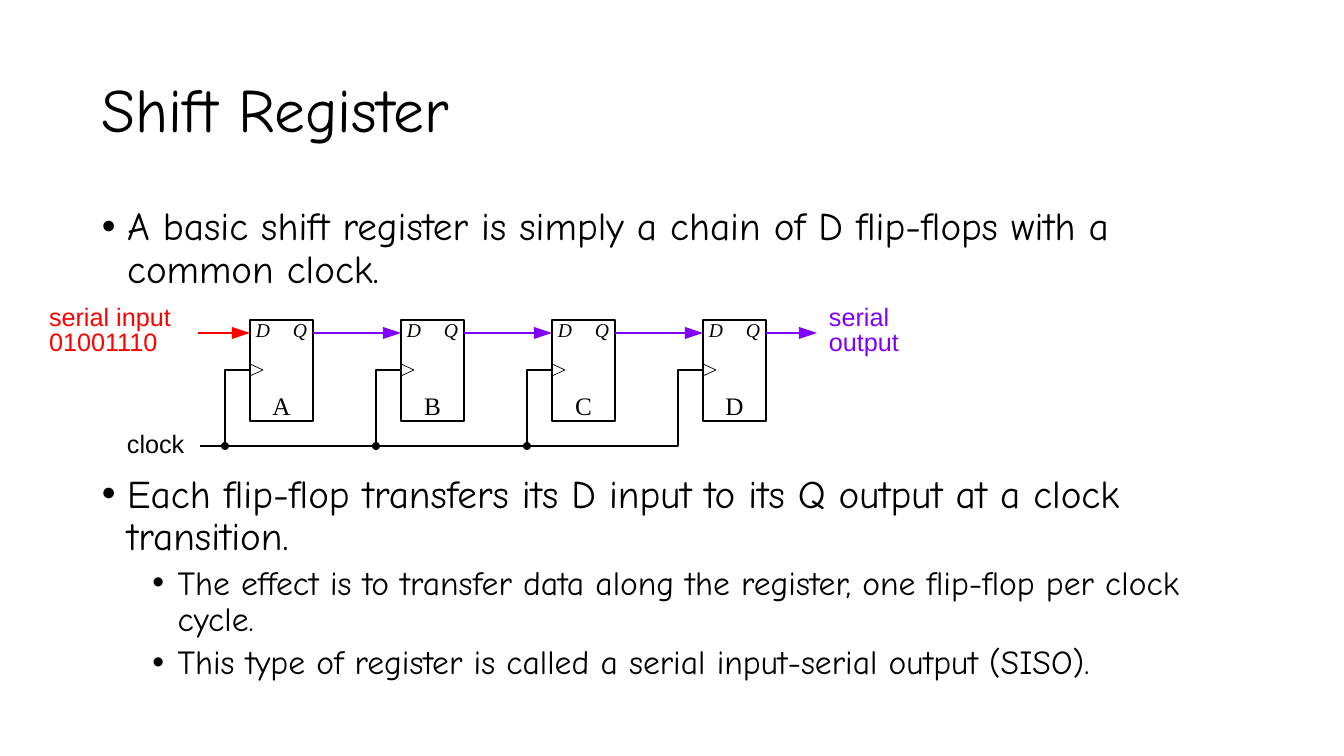
from lxml.etree import SubElement
from pptx import Presentation
from pptx.dml.color import RGBColor
from pptx.enum.shapes import MSO_CONNECTOR, MSO_SHAPE
from pptx.enum.text import MSO_ANCHOR, PP_ALIGN
from pptx.oxml.ns import qn
from pptx.util import Pt

TITLE = "Shift Register"
# text, indent level, size, space before (the second bullet clears the diagram)
BULLETS = [
    ("A basic shift register is simply a chain of D flip-flops with a common clock.", 0, 28, 10),
    ("Each flip-flop transfers its D input to its Q output at a clock transition.", 0, 28, 130.5),
    ("The effect is to transfer data along the register, one flip-flop per clock cycle.", 1, 24, 5),
    ("This type of register is called a serial input-serial output (SISO).", 1, 24, 5),
]
FLIP_FLOPS = ["A", "B", "C", "D"]
BLACK, RED, VIOLET = "000000", "FF0000", "7F00FF"
# text, box, colour
SIGNAL_LABELS = [
    (["serial input", "01001110"], (49, 306, 143, 51), RED),
    (["serial output"], (829, 306, 73, 51), VIOLET),
    (["clock"], (127, 433, 87, 26), BLACK),
]

EMU_PER_PX = 914400 / 100.8
FIRST_LEFT, PITCH = 250, 151
BOX_TOP, BOX_WIDTH, BOX_HEIGHT = 320, 63, 101
DATA_Y, CLOCK_Y, BUS_Y = 333, 370, 446
BUS_LEFT, CLOCK_STUB = 200, 25
INPUT_LEFT, OUTPUT_RIGHT = 198, 817
HEAD_LENGTH, HEAD_HALF = 18, 6
PIN_WIDTH, PIN_HALF = 13, 6
DOT = 8


def px(length):
    return round(length * EMU_PER_PX)


def color(hex_string):
    return RGBColor.from_string(hex_string)


presentation = Presentation()
presentation.slide_width, presentation.slide_height = px(1344), px(756)
slide = presentation.slides.add_slide(presentation.slide_layouts[6])


def add_text(paragraphs, box, *, font="Arial", size=18, hex_color=BLACK, italic=False,
             align=PP_ALIGN.LEFT, anchor=MSO_ANCHOR.TOP, inset=(0, 0), spacing=None, tab=None):
    """Add a text box; a paragraph is a string or (text, bullet level, size, space before)."""
    shape = slide.shapes.add_textbox(*map(px, box))
    frame = shape.text_frame
    frame.word_wrap = True
    frame.vertical_anchor = anchor
    frame.margin_left = frame.margin_right = px(inset[0])
    frame.margin_top = frame.margin_bottom = px(inset[1])
    for index, item in enumerate(paragraphs):
        text, level, points, before = (item, None, size, 0) if isinstance(item, str) else item
        paragraph = frame.paragraphs[0] if index == 0 else frame.add_paragraph()
        paragraph.alignment = align
        paragraph.space_before = Pt(before)
        if spacing:
            paragraph.line_spacing = spacing
        properties = paragraph._p.get_or_add_pPr()
        if level is not None:
            paragraph.level = level
            properties.set("marL", str(228600 + 457200 * level))
            properties.set("indent", "-228600")
            SubElement(properties, qn("a:buFont"), typeface="Arial")
            SubElement(properties, qn("a:buChar"), char="•")
        if tab:
            stops = SubElement(properties, qn("a:tabLst"))
            SubElement(stops, qn("a:tab"), pos=str(px(tab)), algn="l")
        run = paragraph.add_run()
        run.text = text
        run.font.name, run.font.size, run.font.italic = font, Pt(points), italic
        run.font.color.rgb = color(hex_color)


def style(shape, fill=None, line=None, width=1):
    shape.shadow.inherit = False
    if fill:
        shape.fill.solid()
        shape.fill.fore_color.rgb = color(fill)
    else:
        shape.fill.background()
    if line:
        shape.line.color.rgb = color(line)
        shape.line.width = Pt(width)
    else:
        shape.line.fill.background()


def add_path(points, close=False, **look):
    builder = slide.shapes.build_freeform(*points[0], scale=EMU_PER_PX)
    builder.add_line_segments(points[1:], close=close)
    style(builder.convert_to_shape(), **look)


def add_data_arrow(start, end, hex_color):
    neck = end - HEAD_LENGTH
    shaft = slide.shapes.add_connector(
        MSO_CONNECTOR.STRAIGHT, px(start), px(DATA_Y), px(neck + 1), px(DATA_Y))
    shaft.line.color.rgb = color(hex_color)
    shaft.line.width = Pt(2)
    SubElement(shaft._element.spPr, qn("a:effectLst"))
    add_path([(neck, DATA_Y - HEAD_HALF), (end, DATA_Y), (neck, DATA_Y + HEAD_HALF)],
             close=True, fill=hex_color)


def add_flip_flop(name, left):
    body = slide.shapes.add_shape(
        MSO_SHAPE.RECTANGLE, px(left), px(BOX_TOP), px(BOX_WIDTH), px(BOX_HEIGHT))
    style(body, line=BLACK)
    add_path([(left, CLOCK_Y - PIN_HALF), (left + PIN_WIDTH, CLOCK_Y), (left, CLOCK_Y + PIN_HALF)],
             line=BLACK, width=0.5)
    add_text(["D\tQ"], (left + 6, 318, 53, 25), font="Times New Roman", size=14,
             italic=True, tab=37)
    add_text([name], (left, 390, BOX_WIDTH, 31), font="Times New Roman", align=PP_ALIGN.CENTER)


def add_clock_branch(left, is_last):
    branch = left - CLOCK_STUB
    points = [(left, CLOCK_Y), (branch, CLOCK_Y), (branch, BUS_Y)]
    if is_last:
        points.append((BUS_LEFT, BUS_Y))
    add_path(points, line=BLACK)
    if not is_last:
        dot = slide.shapes.add_shape(
            MSO_SHAPE.OVAL, px(branch - DOT / 2), px(BUS_Y - DOT / 2), px(DOT), px(DOT))
        style(dot, fill=BLACK)


add_text([TITLE], (92, 40, 1160, 146), font="Comic Neue", size=44,
         anchor=MSO_ANCHOR.MIDDLE, inset=(10, 5), spacing=0.9)
add_text(BULLETS, (92, 202, 1160, 530), font="Comic Neue", inset=(10, 5), spacing=0.9)

lefts = [FIRST_LEFT + PITCH * index for index in range(len(FLIP_FLOPS))]
for name, left in zip(FLIP_FLOPS, lefts):
    add_flip_flop(name, left)
    add_clock_branch(left, left == lefts[-1])

arrow_starts = [INPUT_LEFT] + [left + BOX_WIDTH for left in lefts]
arrow_ends = lefts + [OUTPUT_RIGHT]
for start, end in zip(arrow_starts, arrow_ends):
    add_data_arrow(start, end, RED if start == INPUT_LEFT else VIOLET)

for lines, box, hex_color in SIGNAL_LABELS:
    add_text(lines, box, hex_color=hex_color, spacing=Pt(18))

presentation.save("out.pptx")
